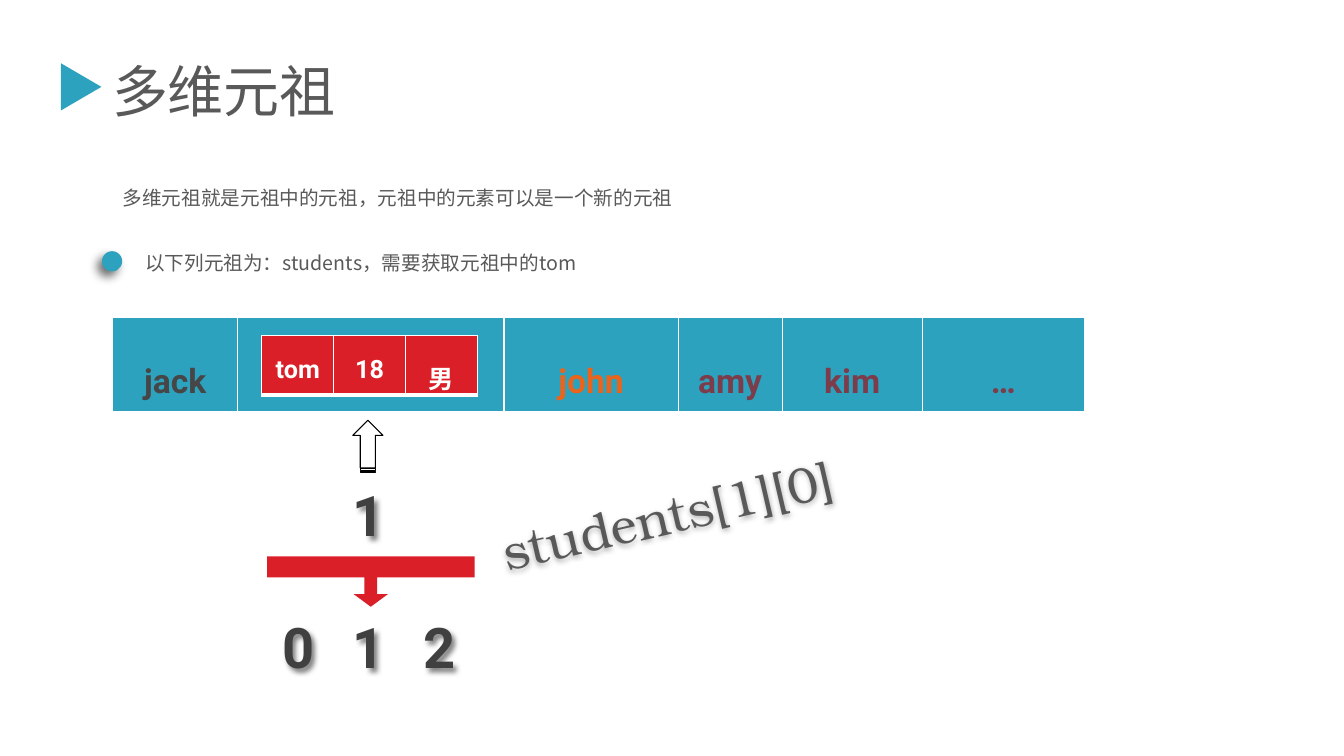
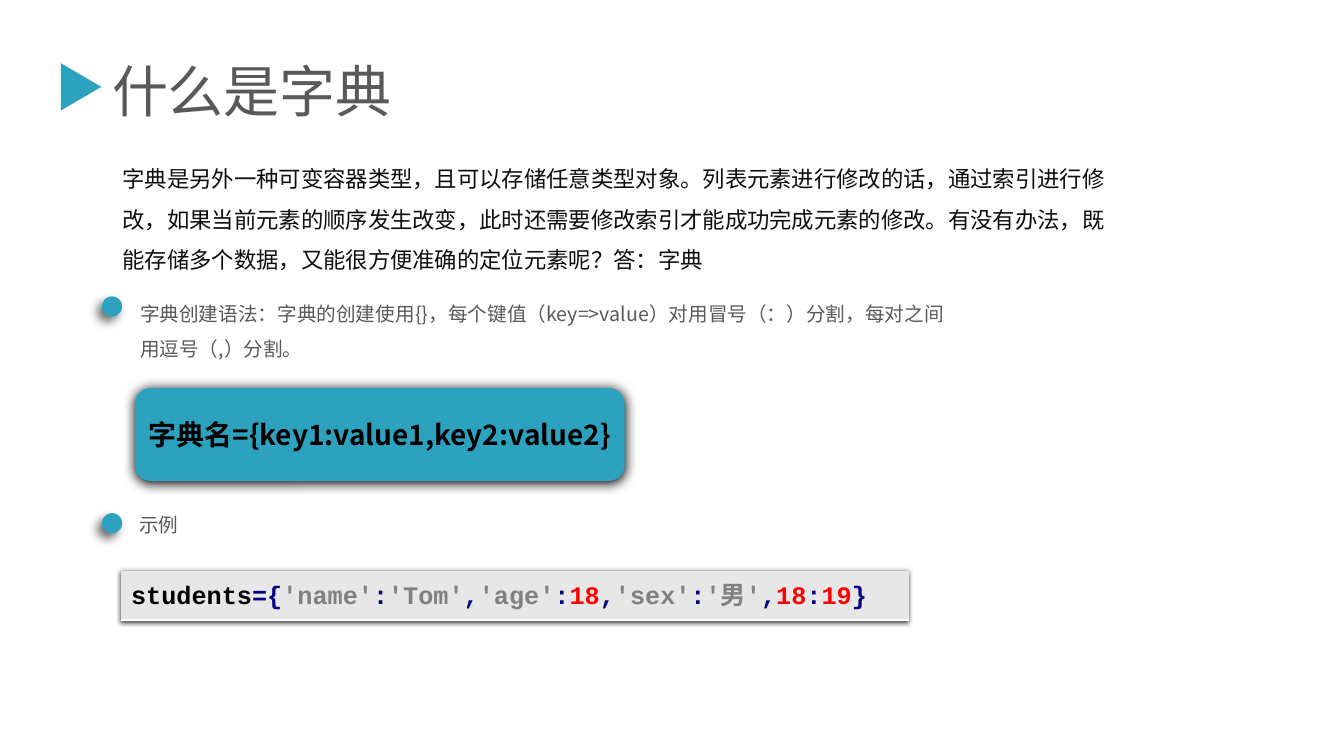
from dataclasses import dataclass
from itertools import zip_longest

from lxml.etree import SubElement
from pptx import Presentation
from pptx.dml.color import RGBColor
from pptx.enum.shapes import MSO_SHAPE as Preset
from pptx.enum.text import MSO_ANCHOR as Anchor, MSO_AUTO_SIZE as AutoSize, PP_ALIGN as Align
from pptx.oxml.ns import qn
from pptx.util import Cm, Pt


@dataclass(frozen=True)
class Theme:
    accent: str = "2DA2BF"
    red: str = "DA1F28"
    white: str = "FFFFFF"
    black: str = "000000"
    body: str = "595959"
    strong: str = "0D0D0D"
    digit: str = "404040"
    jack: str = "464646"
    john: str = "EB641B"
    others: str = "7D3C4A"
    code_back: str = "E7E7E7"
    code_mark: str = "000080"
    code_string: str = "808080"
    code_number: str = "FF0000"
    sans: str = "Noto Sans CJK SC"
    label: str = "Roboto"
    mono: str = "Courier New"
    serif: str = "TeX Gyre Bonum"
    title_size: int = 40
    formula_size: int = 36
    cell_size: int = 24
    syntax_size: int = 20
    code_size: int = 18
    lead_size: int = 16
    body_size: int = 14


THEME = Theme()


@dataclass(frozen=True)
class Box:
    """A rectangle in centimetres."""
    left: float
    top: float
    width: float
    height: float

    def inside(self, left, top, width, height):
        return Box(self.left + left, self.top + top, width, height)

    def lengths(self):
        return [Cm(side) for side in (self.left, self.top, self.width, self.height)]


@dataclass(frozen=True)
class Shadow:
    """Opacity in percent, blur and distance in points, direction in degrees."""
    opacity: float
    blur: float
    distance: float
    direction: int

    def add_to(self, effects):
        outer = SubElement(effects, qn("a:outerShdw"), blurRad=str(Pt(self.blur)),
                           dist=str(Pt(self.distance)), dir=str(self.direction * 60000),
                           algn="ctr", rotWithShape="0")
        color = SubElement(outer, qn("a:srgbClr"), val=THEME.black)
        SubElement(color, qn("a:alpha"), val=str(int(self.opacity * 1000)))


DOT_SHADOW = Shadow(57, 7, 5, 135)
PANEL_SHADOW = Shadow(100, 8.5, 1, 90)
DIGIT_SHADOW = Shadow(50, 4, 3, 45)
FORMULA_SHADOW = Shadow(30, 4, 1, 90)
CODE_SHADOW = Shadow(70, 3, 1.5, 135)


def rgb(color):
    return RGBColor.from_string(color)


def set_shadow(shape, shadow=None):
    shape.shadow.inherit = False
    if shadow:
        shadow.add_to(shape._element.spPr.find(qn("a:effectLst")))


def style(para, size, color, font=THEME.sans, bold=False, align=Align.LEFT,
          spacing=None, before=None):
    para.alignment = align
    para.line_spacing = spacing
    para.space_before = None if before is None else Pt(before)
    para.font.name = font
    para.font.size = Pt(size)
    para.font.bold = bold
    para.font.color.rgb = rgb(color)
    defaults = para._p.pPr.find(qn("a:defRPr"))
    SubElement(defaults, qn("a:ea"), typeface=THEME.sans)


def add_text(shapes, box, text, size, color, shadow=None, **looks):
    area = shapes.add_textbox(*box.lengths())
    area.text_frame.word_wrap = True
    set_shadow(area, shadow)
    para = area.text_frame.paragraphs[0]
    para.text = text
    style(para, size, color, **looks)
    return area


def add_preset(shapes, preset, box, fill=None, line=None, shadow=None):
    shape = shapes.add_shape(preset, *box.lengths())
    if fill:
        shape.fill.solid()
        shape.fill.fore_color.rgb = rgb(fill)
    else:
        shape.fill.background()
    if line:
        shape.line.color.rgb = rgb(line)
        shape.line.width = Pt(0.75)
    else:
        shape.line.fill.background()
    set_shadow(shape, shadow)
    return shape


def add_row_table(page, box, widths, fill, borders):
    """Add a one-row table; borders are left, right, top, bottom points."""
    frame = page.shapes.add_table(1, len(widths), *box.lengths())
    table = frame.table
    table.first_row = table.horz_banding = False
    for column, width in zip(table.columns, widths):
        column.width = Cm(width)
    for cell in table.iter_cells():
        properties = cell._tc.get_or_add_tcPr()
        for side, points in zip("LRTB", borders):
            edge = SubElement(properties, qn(f"a:ln{side}"), w=str(Pt(points)))
            if points:
                paint = SubElement(edge, qn("a:solidFill"))
                SubElement(paint, qn("a:srgbClr"), val=THEME.white)
            else:
                SubElement(edge, qn("a:noFill"))
        cell.fill.solid()
        cell.fill.fore_color.rgb = rgb(fill)
    return table


def add_name_table(page, box, widths, fill, names, size, spacing):
    """Add a table of centred bold names, given as (text, colour)."""
    table = add_row_table(page, box, widths, fill, (1, 1, 1, 3))
    for cell, (text, color) in zip(table.iter_cells(), names):
        if text:
            para = cell.text_frame.paragraphs[0]
            para.text = text
            style(para, size, color, THEME.label, True, Align.CENTER, spacing)


def add_page(deck, title):
    page = deck.slides.add_slide(deck.slide_layouts[5])
    heading = page.shapes.title
    heading.left, heading.top, heading.width, heading.height = Box(2.57, 1.3, 16.5, 1.96).lengths()
    frame = heading.text_frame
    frame.text = title
    frame.vertical_anchor = Anchor.TOP
    frame.auto_size = AutoSize.NONE
    style(frame.paragraphs[0], THEME.title_size, THEME.body)
    marker = add_preset(page.shapes, Preset.ISOSCELES_TRIANGLE,
                        Box(1.45, 1.68, 1.19, 1.02), THEME.accent)
    marker.rotation = 90
    return page


def add_bullet(page, box, text, indent, drop=0.13, spacing=None):
    """Group a dot, drop below the top of the box, with a text indented from it."""
    shapes = page.shapes.add_group_shape().shapes
    add_preset(shapes, Preset.OVAL, box.inside(0, drop, 0.51, 0.51),
               THEME.accent, shadow=DOT_SHADOW)
    add_text(shapes, box.inside(indent, 0, box.width - indent, box.height), text,
             THEME.body_size, THEME.body, spacing=spacing, before=12)


def add_students(page, box):
    widths = (3.15, 6.71, 4.39, 2.62, 3.53, 4.09)
    names = (("jack", THEME.jack), ("", THEME.white), ("john", THEME.john),
             ("amy", THEME.others), ("kim", THEME.others), ("…", THEME.others))
    add_name_table(page, box, widths, THEME.accent, names, THEME.cell_size, 2)
    fields = [(text, THEME.white) for text in ("tom", "18", "男")]
    add_name_table(page, box.inside(3.76, 0.46, 5.43, 1.5), [1.81] * 3,
                   THEME.red, fields, THEME.code_size, 1.5)


def add_index_steps(page, box):
    """Show the outer index, then the inner indexes under a callout."""
    arrow = add_preset(page.shapes, Preset.STRIPED_RIGHT_ARROW,
                       box.inside(1.88, 0, 1.32, 0.76), line=THEME.black)
    arrow.rotation = 270
    callout = add_preset(page.shapes, Preset.DOWN_ARROW_CALLOUT,
                         box.inside(0, 3.15, box.width, 1.27), THEME.red)
    for position, value in enumerate((0.25, 0.34, 0.25, 0.42)):
        callout.adjustments[position] = value
    step = 1.78
    digits = [("1", step, 1.12)] + [(str(index), index * step, 4.45) for index in range(3)]
    for text, left, top in digits:
        add_text(page.shapes, box.inside(0.13 + left, top, 1.55, 1.96), text,
                 THEME.title_size, THEME.digit, DIGIT_SHADOW, font=THEME.label, bold=True)


def add_syntax(page, box):
    panel = add_preset(page.shapes, Preset.ROUNDED_RECTANGLE, box, THEME.accent,
                       shadow=PANEL_SHADOW)
    frame = panel.text_frame
    frame.word_wrap = True
    frame.vertical_anchor = Anchor.MIDDLE
    frame.margin_left = frame.margin_right = frame.margin_top = frame.margin_bottom = Cm(0.08)
    para = frame.paragraphs[0]
    para.text = "字典名={key1:value1,key2:value2}"
    style(para, THEME.syntax_size, THEME.black, bold=True, align=Align.CENTER)


def add_code(page, box):
    table = add_row_table(page, box, [box.width], THEME.code_back, (0, 0, 0, 2))
    effects = table._tbl.tblPr.makeelement(qn("a:effectLst"))
    table._tbl.tblPr.insert(0, effects)
    CODE_SHADOW.add_to(effects)
    para = table.cell(0, 0).text_frame.paragraphs[0]
    style(para, THEME.code_size, THEME.black, THEME.mono, True)
    tokens = ("students", "'name'", "'Tom'", "'age'", "18", "'sex'", "'男'", "18", "19")
    marks = ("={", ":", ",", ":", ",", ":", ",", ":", "}")
    for token, mark in zip_longest(tokens, marks):
        if token.startswith("'"):
            color = THEME.code_string
        else:
            color = THEME.code_number if token.isdigit() else THEME.black
        for text, shade in ((token, color), (mark, THEME.code_mark)):
            span = para.add_run()
            span.text = text
            span.font.color.rgb = rgb(shade)


def build_tuple_page(deck):
    page = add_page(deck, "多维元祖")
    add_text(page.shapes, Box(2.84, 4.27, 24.9, 1.04),
             "多维元祖就是元祖中的元祖，元祖中的元素可以是一个新的元祖",
             THEME.body_size, THEME.body, spacing=1.5, before=6)
    add_bullet(page, Box(2.57, 6.2, 19.9, 0.86),
               "以下列元祖为：students，需要获取元祖中的tom", 0.84)
    add_students(page, Box(2.84, 8, 24.49, 2.41))
    add_index_steps(page, Box(6.73, 10.87, 5.23, 6.4))
    formula = add_text(page.shapes, Box(12.24, 11.35, 15.37, 1.8), "students[1][0]",
                       THEME.formula_size, THEME.body, FORMULA_SHADOW, font=THEME.serif)
    formula.rotation = 347


def build_dictionary_page(deck):
    page = add_page(deck, "什么是字典")
    add_text(page.shapes, Box(2.84, 3.71, 25.37, 3.23),
             "字典是另外一种可变容器类型，且可以存储任意类型对象。列表元素进行修改的话，"
             "通过索引进行修改，如果当前元素的顺序发生改变，此时还需要修改索引才能成功完成"
             "元素的修改。有没有办法，既能存储多个数据，又能很方便准确的定位元素呢？答：字典",
             THEME.lead_size, THEME.strong, spacing=1.5, before=12)
    add_bullet(page, Box(2.57, 7.19, 21.56, 1.96),
               "字典创建语法：字典的创建使用{}，每个键值（key=>value）对用冒号（：）分割，"
               "每对之间用逗号（,）分割。", 0.71, drop=0.28, spacing=1.5)
    add_syntax(page, Box(3.4, 9.78, 12.34, 2.34))
    add_bullet(page, Box(2.57, 12.8, 15.64, 0.86), "示例", 0.69)
    add_code(page, Box(3.05, 14.38, 19.86, 1.24))


def main():
    deck = Presentation()
    deck.slide_width, deck.slide_height = Cm(33.87), Cm(19.05)
    build_tuple_page(deck)
    build_dictionary_page(deck)
    deck.save("out.pptx")


if __name__ == "__main__":
    main()
